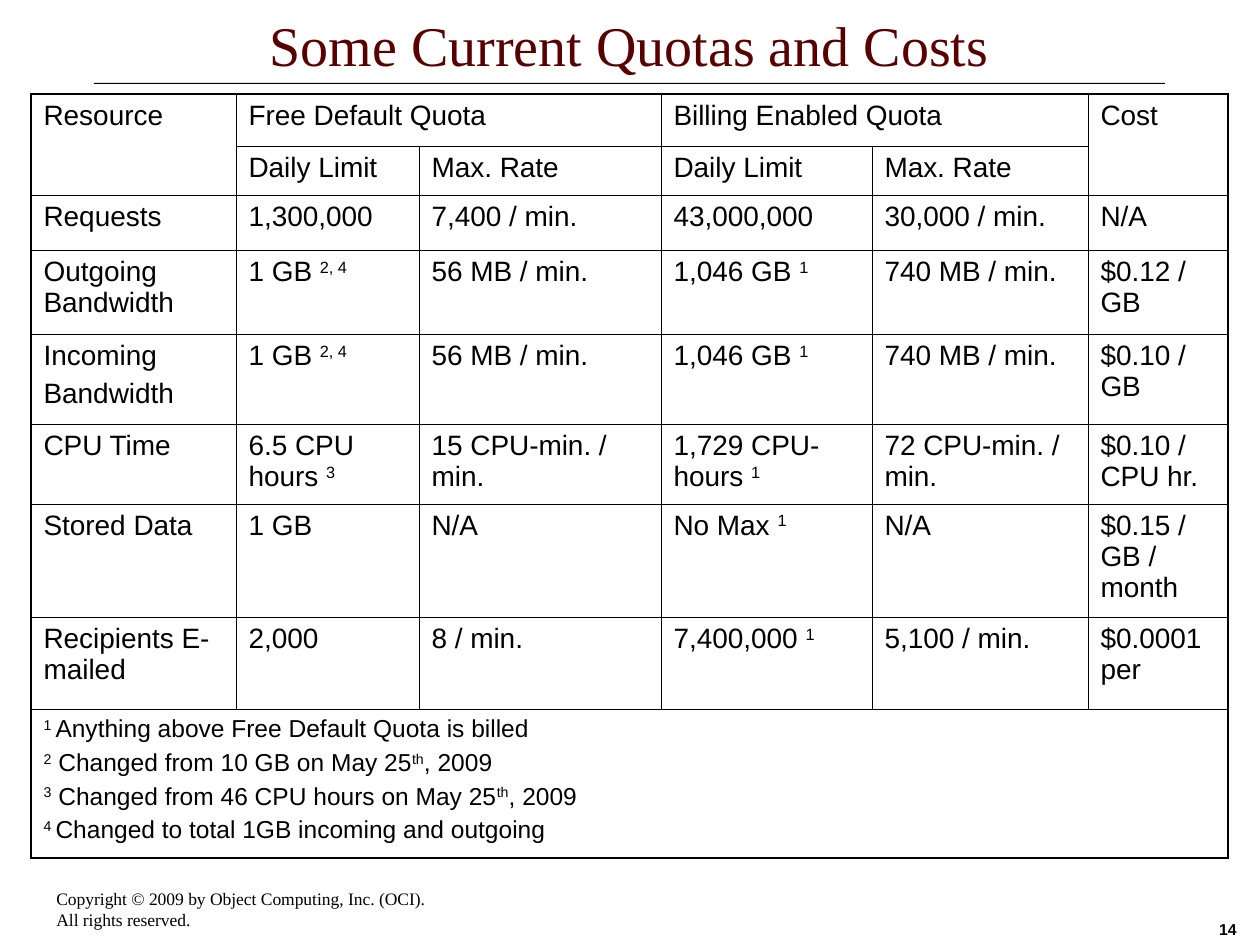
from lxml import etree
from pptx import Presentation, util as u
from pptx.dml.color import RGBColor
from pptx.enum import shapes, text
from pptx.oxml.ns import qn

PX = 914400 / 126
BLACK, WHITE, MAROON = "000000", "FFFFFF", "580000"
SANS, SERIF = "Arial", "Times New Roman"

COLS = [205, 183, 242, 211, 216, 140]
ROWS = [52, 49, 55, 84, 90, 80, 113, 92, 149]
# Text between carets is superscript; a line feed starts a new paragraph.
QUOTAS = [
    ["Resource", "Free Default Quota", "", "Billing Enabled Quota", "", "Cost"],
    ["", "Daily Limit", "Max. Rate", "Daily Limit", "Max. Rate", ""],
    ["Requests", "1,300,000", "7,400 / min.", "43,000,000", "30,000 / min.", "N/A"],
    ["Outgoing Bandwidth", "1 GB ^2, 4^", "56 MB / min.", "1,046 GB ^1^",
     "740 MB / min.", "$0.12 / GB"],
    ["Incoming\nBandwidth", "1 GB ^2, 4^", "56 MB / min.", "1,046 GB ^1^",
     "740 MB / min.", "$0.10 / GB"],
    ["CPU Time", "6.5 CPU hours ^3^", "15 CPU-min. / min.", "1,729 CPU-hours ^1^",
     "72 CPU-min. / min.", "$0.10 / CPU hr."],
    ["Stored Data", "1 GB", "N/A", "No Max ^1^", "N/A", "$0.15 / GB / month"],
    ["Recipients E-mailed", "2,000", "8 / min.", "7,400,000 ^1^", "5,100 / min.",
     "$0.0001 per"],
]
FOOTNOTES = "\n".join([
    "^1 ^Anything above Free Default Quota is billed",
    "^2^ Changed from 10 GB on May 25^th^, 2009",
    "^3^ Changed from 46 CPU hours on May 25^th^, 2009",
    "^4 ^Changed to total 1GB incoming and outgoing",
])
MERGES = [(0, 0, 1, 0), (0, 1, 0, 2), (0, 3, 0, 4), (0, 5, 1, 5), (8, 0, 8, 5)]


def px(*lengths):
    return [u.Emu(round(n * PX)) for n in lengths]


def rgb(value):
    return RGBColor.from_string(value)


def add_run(p, words, size, font=SANS, color=BLACK, bold=False, raised=False):
    r = p.add_run()
    r.text = words
    r.font.size, r.font.name, r.font.bold = u.Pt(size), font, bold
    r.font.color.rgb = rgb(color)
    if raised:
        r.font._element.set("baseline", "30000")


def add_marked_text(tf, words, size, gap):
    for i, line in enumerate(words.split("\n")):
        p = tf.add_paragraph() if i else tf.paragraphs[0]
        if i:
            p.space_before = u.Pt(gap)
        for j, part in enumerate(line.split("^")):
            if part:
                add_run(p, part, size, raised=j % 2 == 1)


def add_text_box(s, box, align, anchor, wrap=True):
    """Add an empty text box and return its first paragraph."""
    tf = s.shapes.add_textbox(*px(*box)).text_frame
    tf.word_wrap, tf.vertical_anchor = wrap, anchor
    p = tf.paragraphs[0]
    p.alignment = align
    return p


def add_border(cell, side, width):
    ln = etree.SubElement(cell._tc.get_or_add_tcPr(), qn("a:ln" + side),
                          w=str(u.Pt(width)))
    fill = etree.SubElement(ln, qn("a:solidFill"))
    etree.SubElement(fill, qn("a:srgbClr"), val=BLACK)


def style_cell(cell, row, col):
    """Draw thick lines on the outer edge of the table and thin ones inside."""
    outer = {
        "L": col == 0,
        "R": col + cell.span_width == len(COLS),
        "T": row == 0,
        "B": row + cell.span_height == len(ROWS),
    }
    for side, is_outer in outer.items():
        add_border(cell, side, 1.08 if is_outer else 0.45)
    cell.fill.background()
    cell.margin_left = cell.margin_right = u.Inches(0.1)
    cell.margin_top = cell.margin_bottom = u.Inches(0.05)


def add_title(s, x, y, w, h):
    p = add_text_box(s, (x, y, w, h), text.PP_ALIGN.CENTER, text.MSO_ANCHOR.BOTTOM)
    add_run(p, "Some Current Quotas and Costs", 32, SERIF, MAROON)
    rule = s.shapes.add_shape(shapes.MSO_SHAPE.RECTANGLE, *px(x, y + h - 1, w, 1))
    rule.shadow.inherit = False
    rule.fill.solid()
    rule.fill.fore_color.rgb = rgb(BLACK)
    rule.line.fill.background()


def add_quota_table(s, x, y):
    table = s.shapes.add_table(len(ROWS), len(COLS),
                               *px(x, y, sum(COLS), sum(ROWS))).table
    table.first_row = table.horz_banding = False
    for column, width in zip(table.columns, px(*COLS)):
        column.width = width
    for row, height in zip(table.rows, px(*ROWS)):
        row.height = height
    for top, left, bottom, right in MERGES:
        table.cell(top, left).merge(table.cell(bottom, right))
    for i in range(len(ROWS)):
        for j in range(len(COLS)):
            style_cell(table.cell(i, j), i, j)
    for i, row in enumerate(QUOTAS):
        for j, words in enumerate(row):
            if words:
                add_marked_text(table.cell(i, j).text_frame, words, 16, 4)
    add_marked_text(table.cell(len(QUOTAS), 0).text_frame, FOOTNOTES, 14, 3.5)


def add_footer(s, x, y, w, h):
    p = add_text_box(s, (x, y, 402, 54), text.PP_ALIGN.LEFT,
                     text.MSO_ANCHOR.TOP, wrap=False)
    add_run(p, "Copyright © 2009 by Object Computing, Inc. (OCI).", 10, SERIF)
    p.add_line_break()
    add_run(p, "All rights reserved.", 10, SERIF)
    p = add_text_box(s, (x + w - 262, y + h - 42, 262, 42), text.PP_ALIGN.RIGHT,
                     text.MSO_ANCHOR.BOTTOM)
    add_run(p, "14", 9, bold=True)


def main():
    prs = Presentation()
    prs.slide_width, prs.slide_height = px(1260, 945)
    s = prs.slides.add_slide(prs.slide_layouts[6])
    s.background.fill.solid()
    s.background.fill.fore_color.rgb = rgb(WHITE)
    add_title(s, 94, 0, 1071, 84)
    add_quota_table(s, 31, 94)
    add_footer(s, 44, 882, 1205, 63)
    prs.save("out.pptx")


if __name__ == "__main__":
    main()
